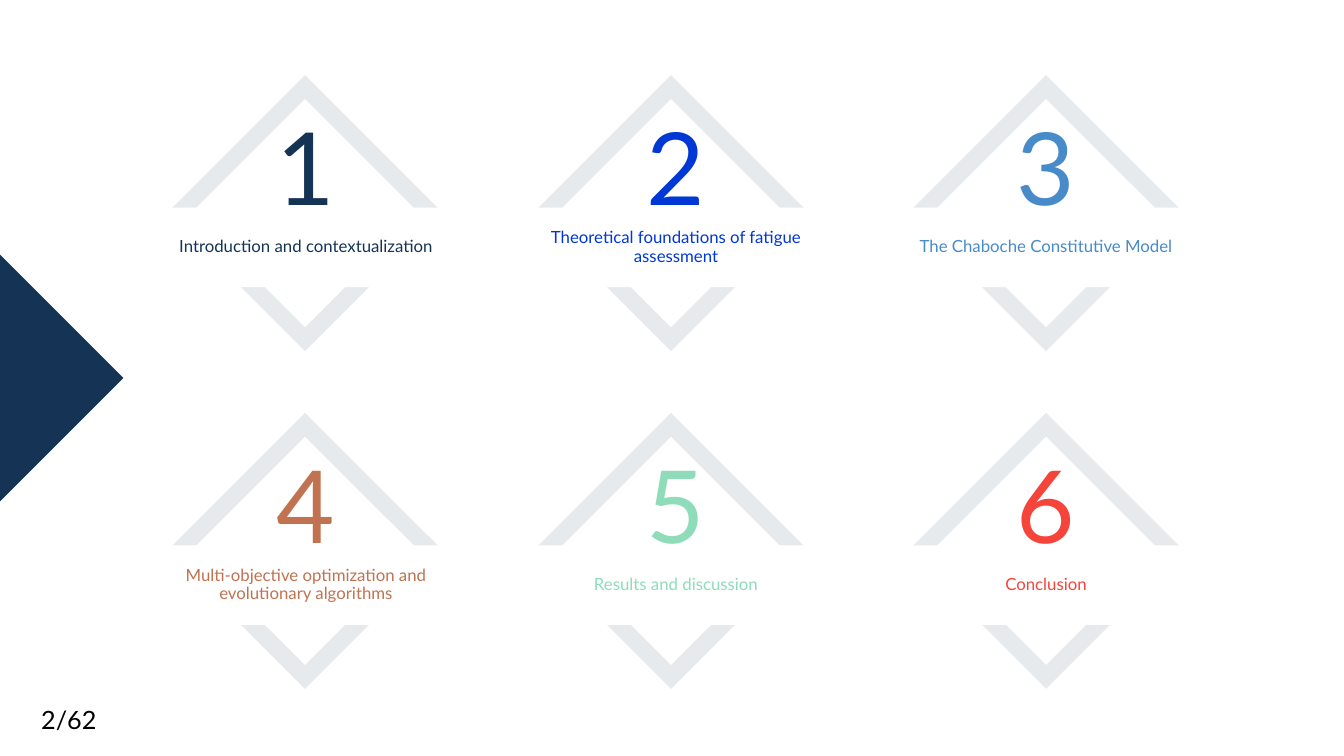
import pptx
import pptx.util
import pptx.dml.color
import pptx.enum.shapes
import pptx.enum.text
import pptx.oxml.ns
from dataclasses import dataclass
from lxml import etree
from pptx.util import Inches


@dataclass(frozen=True)
class Theme:
    font: str = "Lato"
    navy: str = "143355"
    blue: str = "0038D5"
    sky: str = "488BC9"
    copper: str = "C17250"
    mint: str = "8FDCBB"
    red: str = "F5443A"
    white: str = "FFFFFF"
    black: str = "000000"
    number_size: int = 72
    title_size: int = 12
    page_size: int = 18
    frame_width: int = 12
    frame_opacity: int = 10


theme = Theme()
rgb = pptx.dml.color.RGBColor.from_string
qn = pptx.oxml.ns.qn


def add_square(left, top, side, color):
    """Add a borderless square standing on one corner."""
    square = page.shapes.add_shape(
        pptx.enum.shapes.MSO_SHAPE.RECTANGLE,
        Inches(left), Inches(top), Inches(side), Inches(side))
    square.rotation = 45
    square.shadow.inherit = False
    square.fill.solid()
    square.fill.fore_color.rgb = rgb(color)
    square.line.fill.background()
    return square


def add_text(text, left, top, width, height, size, color, centered=True):
    box = page.shapes.add_textbox(
        Inches(left), Inches(top), Inches(width), Inches(height))
    frame = box.text_frame
    frame.text = text
    frame.word_wrap = centered
    para = frame.paragraphs[0]
    if centered:
        frame.vertical_anchor = pptx.enum.text.MSO_ANCHOR.MIDDLE
        para.alignment = pptx.enum.text.PP_ALIGN.CENTER
        para.line_spacing = 0.9
    font = para.runs[0].font
    font.name = theme.font
    font.size = pptx.util.Pt(size)
    font.color.rgb = rgb(color)
    return box


deck = pptx.Presentation()
deck.slide_width = Inches(13.33)
deck.slide_height = Inches(7.5)
page = deck.slides.add_slide(deck.slide_layouts[6])

add_square(-0.9, 2.87, 1.76, theme.navy)

sections = [
    ("Introduction and contextualization", theme.navy),
    ("Theoretical foundations of fatigue assessment", theme.blue),
    ("The Chaboche Constitutive Model", theme.sky),
    ("Multi-objective optimization and evolutionary algorithms", theme.copper),
    ("Results and discussion", theme.mint),
    ("Conclusion", theme.red),
]
diamond_lefts = [2.14, 5.77, 9.49]
column_step = 3.67
row_step = 3.35

for index, (title, color) in enumerate(sections):
    row, column = divmod(index, len(diamond_lefts))
    across = column * column_step
    down = row * row_step

    diamond = add_square(diamond_lefts[column], 1.23 + down, 1.77, theme.white)
    diamond.line.color.rgb = rgb(theme.navy)
    diamond.line.width = pptx.util.Pt(theme.frame_width)
    for tint in diamond._element.spPr.iter(qn("a:srgbClr")):
        etree.SubElement(tint, qn("a:alpha"), val=str(theme.frame_opacity * 1000))
    outline = diamond._element.spPr.find(qn("a:ln"))
    etree.SubElement(outline, qn("a:miter"), lim="800000")

    number = add_text(str(index + 1), 2.44 + across, 1.38 + down, 1.18, 0.67,
                      theme.number_size, color)
    frame = number.text_frame
    frame.margin_left = frame.margin_right = 0
    frame.margin_top = frame.margin_bottom = 0

    label = add_text(title, 1.36 + across, 2.06 + down, 3.35, 0.79,
                     theme.title_size, color)
    label.fill.solid()
    label.fill.fore_color.rgb = rgb(theme.white)

page_number = add_text("2/62", 0.31, 6.94, 0.75, 0.4,
                       theme.page_size, theme.black, centered=False)
page_number.text_frame.auto_size = pptx.enum.text.MSO_AUTO_SIZE.SHAPE_TO_FIT_TEXT

deck.save("out.pptx")
